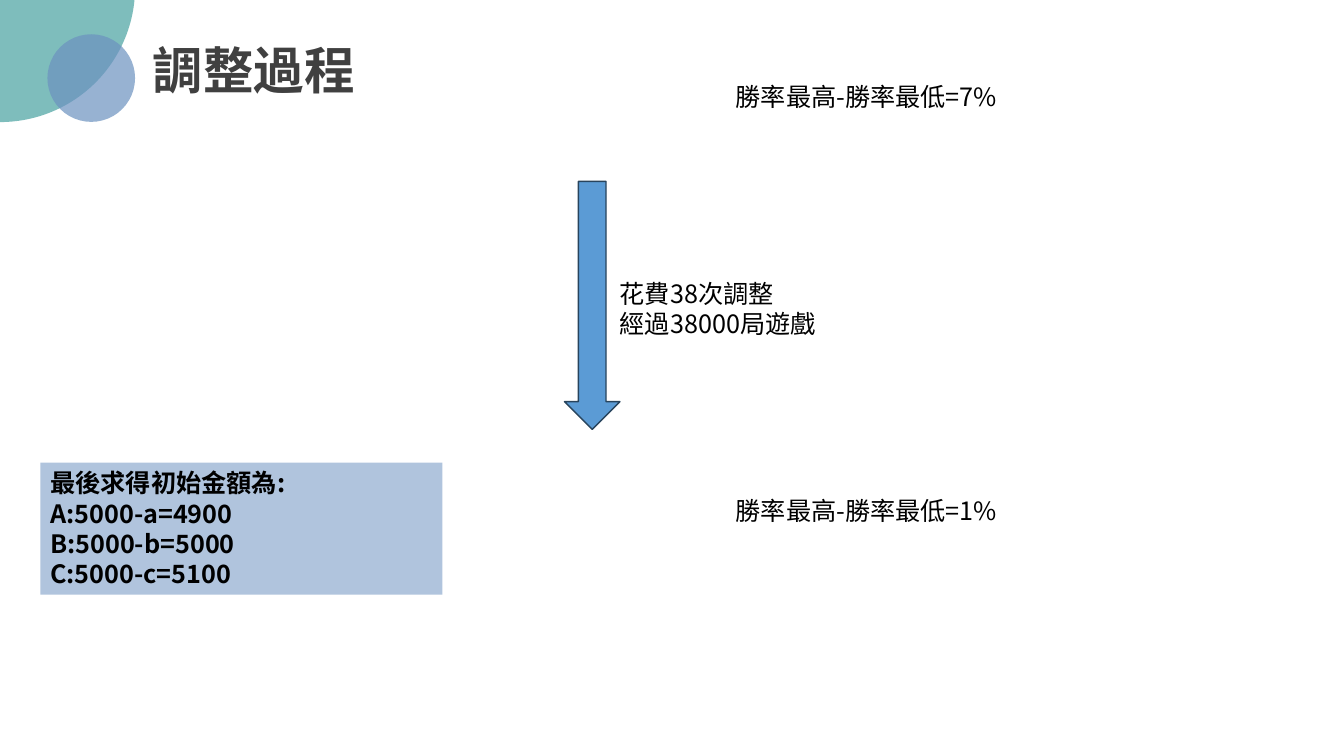
from dataclasses import dataclass

from lxml import etree
from pptx import Presentation, util as u
from pptx.dml.color import RGBColor
from pptx.enum import shapes, text
from pptx.oxml.ns import qn


@dataclass(frozen=True)
class Theme:
    font: str = "Noto Sans CJK SC"
    ink: str = "000000"
    heading: str = "404040"
    teal: str = "48A2A0"
    blue: str = "6C92C0"
    panel: str = "B0C4DD"
    arrow: str = "5B9BD5"
    arrow_edge: str = "28445D"
    title_size: int = 36
    body_size: int = 18


class SlideBuilder:
    def __init__(self, s, theme):
        self.s = s
        self.theme = theme

    def shape(self, kind, box, fill, alpha=None, line=None):
        """Add a preset shape; alpha is its opacity in percent."""
        sp = self.s.shapes.add_shape(kind, *map(u.Pt, box))
        sp.shadow.inherit = False
        sp.fill.solid()
        sp.fill.fore_color.rgb = RGBColor.from_string(fill)
        if alpha is not None:
            color = sp._element.spPr.find(qn("a:solidFill"))[0]
            etree.SubElement(color, qn("a:alpha"), val=str(alpha * 1000))
        if line:
            sp.line.color.rgb = RGBColor.from_string(line)
            sp.line.width = u.Pt(1)
        else:
            sp.line.fill.background()
        return sp

    def label(self, box, lines, **style):
        sp = self.s.shapes.add_textbox(*map(u.Pt, box))
        self.set_lines(sp, lines, **style)

    def panel(self, box, lines, **style):
        sp = self.shape(shapes.MSO_SHAPE.RECTANGLE, box, self.theme.panel)
        self.set_lines(sp, lines, **style)

    def set_lines(self, sp, lines, size=None, color=None, bold=False):
        t = self.theme
        font = {"name": t.font, "size": u.Pt(size or t.body_size), "bold": bold}
        tf = sp.text_frame
        frame = {"word_wrap": True, "vertical_anchor": text.MSO_ANCHOR.TOP}
        for name, value in frame.items():
            setattr(tf, name, value)
        for i, line in enumerate(lines):
            p = tf.add_paragraph() if i else tf.paragraphs[0]
            p.alignment = text.PP_ALIGN.LEFT
            r = p.add_run()
            r.text = line
            for name, value in font.items():
                setattr(r.font, name, value)
            r.font.color.rgb = RGBColor.from_string(color or t.ink)
            latin = r._r.rPr.find(qn("a:latin"))
            latin.addnext(latin.makeelement(qn("a:ea"), {"typeface": t.font}))


def main():
    prs = Presentation()
    prs.slide_width, prs.slide_height = u.Pt(960), u.Pt(540)
    t = Theme()
    b = SlideBuilder(prs.slides.add_slide(prs.slide_layouts[6]), t)
    shape = shapes.MSO_SHAPE

    b.panel((28.8, 330.5, 287.3, 94.3),
            ["最後求得初始金額為:", "A:5000-a=4900", "B:5000-b=5000", "C:5000-c=5100"],
            bold=True)
    b.shape(shape.OVAL, (-96.5, -105.8, 193, 193), t.teal, alpha=70)
    b.shape(shape.OVAL, (33.9, 24.5, 62.6, 62.6), t.blue, alpha=70)
    b.label((102.2, 24.5, 250.6, 51), ["調整過程"],
            size=t.title_size, color=t.heading, bold=True)
    b.label((435.6, 195.1, 217.4, 94.3), ["花費38次調整", "經過38000局遊戲"])
    b.shape(shape.DOWN_ARROW, (403.2, 129.6, 39.6, 177.1), t.arrow, line=t.arrow_edge)
    for top, gap in ((349.9, "1%"), (54.7, "7%")):
        b.label((518.4, top, 240.5, 72.7), [f"勝率最高-勝率最低={gap}"])

    prs.save("out.pptx")


if __name__ == "__main__":
    main()
